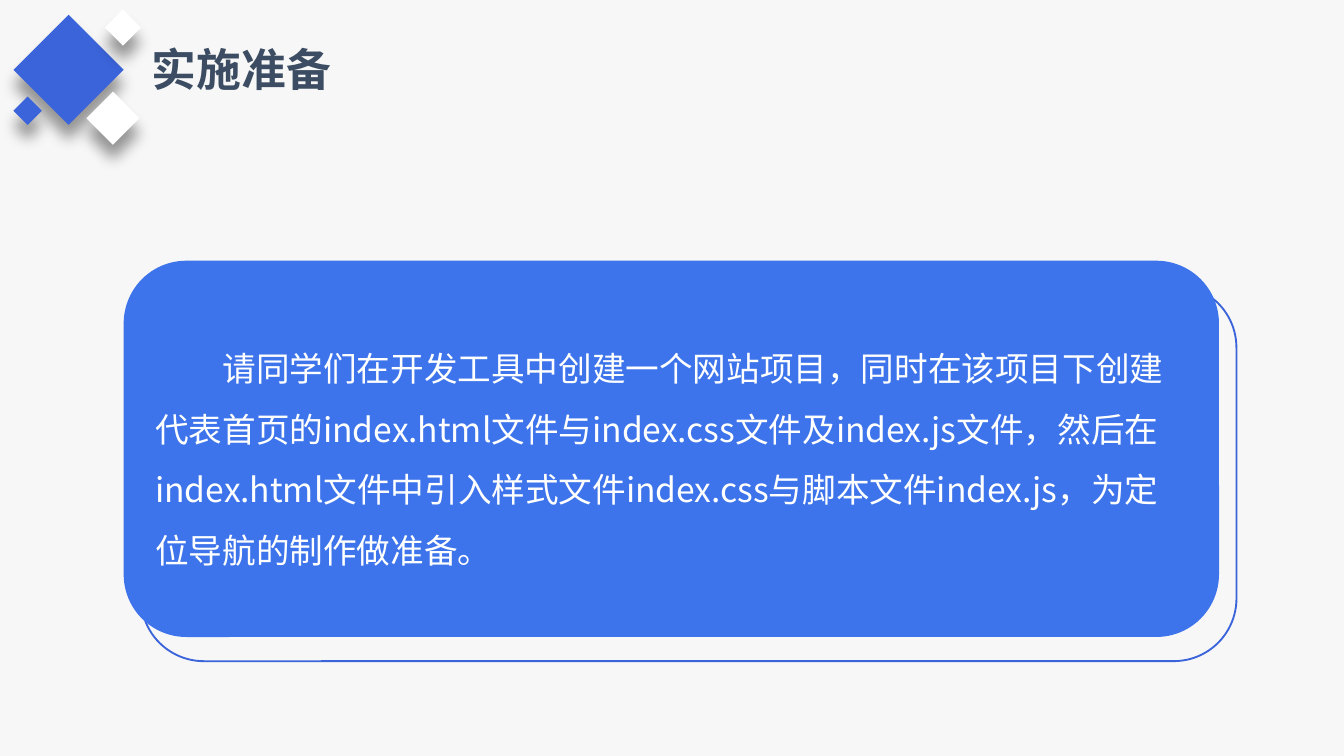
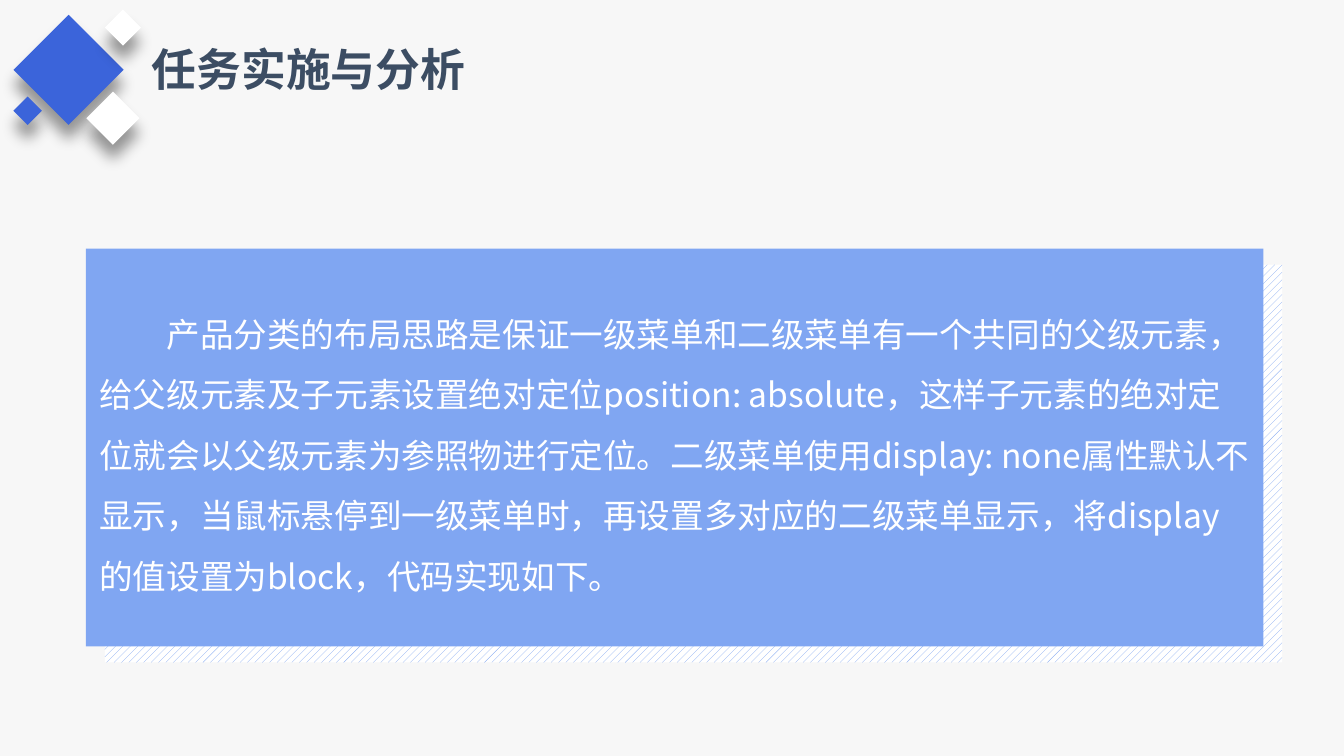
from lxml import etree
from pptx import Presentation
from pptx.dml.color import RGBColor
from pptx.enum.dml import MSO_PATTERN
from pptx.enum.shapes import MSO_SHAPE
from pptx.enum.text import MSO_ANCHOR, MSO_AUTO_SIZE, PP_ALIGN
from pptx.oxml.ns import qn
from pptx.util import Inches, Pt

RECT = MSO_SHAPE.RECTANGLE
ROUNDED = MSO_SHAPE.ROUNDED_RECTANGLE
HATCH = MSO_PATTERN.WIDE_UPWARD_DIAGONAL
MIDDLE, LEFT = MSO_ANCHOR.MIDDLE, PP_ALIGN.LEFT
GROW = MSO_AUTO_SIZE.SHAPE_TO_FIT_TEXT

SLIDE_WIDTH = Inches(10)
SLIDE_HEIGHT = SLIDE_WIDTH * 9 // 16

PAPER = RGBColor(0xF7, 0xF7, 0xF7)
WHITE = RGBColor(0xFF, 0xFF, 0xFF)
SLATE = RGBColor(0x3C, 0x4D, 0x63)
ROYAL = RGBColor(0x3B, 0x64, 0xDA)
BRIGHT = RGBColor(0x3D, 0x74, 0xEB)
SOFT = RGBColor(0x80, 0xA6, 0xF2)

FONT = "Noto Sans CJK SC"
TITLE_FORMAT = {"size": Pt(24), "bold": True}
BODY_FORMAT = {"size": Pt(18), "bold": False}
BODY_PARAGRAPH = {"alignment": LEFT, "line_spacing": 1.5}

# Emblem squares: left, top, side, colour
EMBLEM = [
    (0.22, 0.23, 0.58, ROYAL),
    (0.7, 0.74, 0.28, WHITE),
    (0.82, 0.11, 0.19, WHITE),
    (0.13, 0.75, 0.15, ROYAL),
]

PREPARATION = (
    "请同学们在开发工具中创建一个网站项目，同时在该项目下创建代表首页的index.html文件"
    "与index.css文件及index.js文件，然后在index.html文件中引入样式文件index.css"
    "与脚本文件index.js，为定位导航的制作做准备。"
)
ANALYSIS = (
    "产品分类的布局思路是保证一级菜单和二级菜单有一个共同的父级元素，给父级元素及子元素"
    "设置绝对定位position: absolute，这样子元素的绝对定位就会以父级元素为参照物进行定位。"
    "二级菜单使用display: none属性默认不显示，当鼠标悬停到一级菜单时，"
    "再设置多对应的二级菜单显示，将display的值设置为block，代码实现如下。"
)


def set_values(target, values):
    for name, value in values.items():
        setattr(target, name, value)


def write(para, text, colour, values):
    span = para.add_run()
    span.text = text
    set_values(span.font, {"name": FONT, **values})
    span.font.color.rgb = colour
    etree.SubElement(span.font._element, qn("a:ea"), typeface=FONT)


def add_plain(page, kind, box, colour=None):
    """A shape without line or shadow, filled if a colour is given."""
    shape = page.shapes.add_shape(kind, *map(Inches, box))
    shape.shadow.inherit = False
    shape.line.fill.background()
    if colour is None:
        shape.fill.background()
    else:
        shape.fill.solid()
        shape.fill.fore_color.rgb = colour
    return shape


def drop_shadow(shape):
    effects = shape._element.spPr.find(qn("a:effectLst"))
    shadow = etree.SubElement(
        effects, qn("a:outerShdw"), blurRad=str(Pt(8)), dist=str(Pt(8)),
        dir="5400000", algn="t", rotWithShape="0")
    black = etree.SubElement(shadow, qn("a:srgbClr"), val="000000")
    etree.SubElement(black, qn("a:alpha"), val="40000")


def add_header(page, title, box):
    # Title
    label = page.shapes.add_textbox(*map(Inches, box))
    set_values(label.text_frame, {"word_wrap": False, "auto_size": GROW})
    write(label.text_frame.paragraphs[0], title, SLATE, TITLE_FORMAT)
    # Corner emblem
    for left, top, side, colour in EMBLEM:
        diamond = add_plain(page, RECT, (left, top, side, side), colour)
        diamond.rotation = 45
        drop_shadow(diamond)


def add_panel(page, kind, box, colour, text, margins):
    panel = add_plain(page, kind, box, colour)
    frame = panel.text_frame
    set_values(frame, {"word_wrap": True, "vertical_anchor": MIDDLE, **margins})
    para = frame.paragraphs[0]
    set_values(para, BODY_PARAGRAPH)
    para._p.get_or_add_pPr().set("indent", str(Inches(0.5)))
    write(para, text, WHITE, BODY_FORMAT)


def offset(box, right, down):
    left, top, width, height = box
    return left + right, top + down, width, height


def add_page(deck):
    page = deck.slides.add_slide(deck.slide_layouts[6])
    page.background.fill.solid()
    page.background.fill.fore_color.rgb = PAPER
    return page


def preparation_page(deck, box):
    page = add_page(deck)
    # Outline behind the panel
    outline = add_plain(page, ROUNDED, offset(box, 0.13, 0.18))
    outline.line.color.rgb = ROYAL
    outline.line.width = Pt(1)
    add_header(page, "实施准备", (1.03, 0.26, 1.54, 0.5))
    add_panel(page, ROUNDED, box, BRIGHT, PREPARATION, {})


def analysis_page(deck, box):
    page = add_page(deck)
    # Hatched block behind the panel
    hatching = add_plain(page, RECT, offset(box, 0.14, 0.12))
    hatching.fill.patterned()
    hatching.fill.pattern = HATCH
    hatching.fill.fore_color.rgb = SOFT
    hatching.fill.back_color.rgb = WHITE
    add_header(page, "任务实施与分析", (1.03, 0.26, 2.54, 0.5))
    margins = {"margin_top": Inches(0.08), "margin_bottom": Inches(0.12)}
    add_panel(page, RECT, box, SOFT, ANALYSIS, margins)


def main():
    deck = Presentation()
    deck.slide_width, deck.slide_height = SLIDE_WIDTH, SLIDE_HEIGHT
    preparation_page(deck, (0.92, 1.94, 8.15, 2.8))
    analysis_page(deck, (0.64, 1.85, 8.76, 2.96))
    deck.save("out.pptx")


if __name__ == "__main__":
    main()
